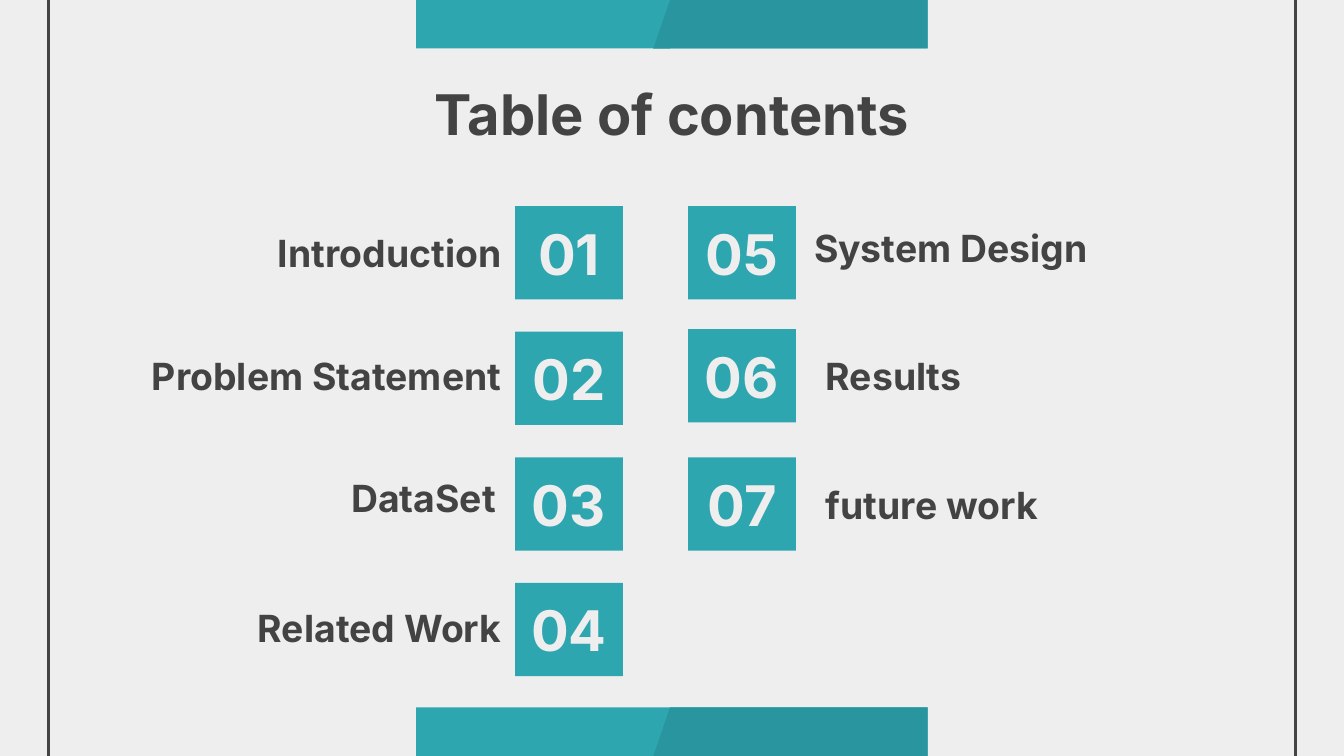
from lxml import etree
from pptx import Presentation
from pptx.dml.color import RGBColor
from pptx.enum.shapes import MSO_CONNECTOR, MSO_SHAPE
from pptx.enum.text import MSO_ANCHOR, MSO_AUTO_SIZE, PP_ALIGN
from pptx.oxml.ns import qn
from pptx.util import Pt

RECT, TRIANGLE = MSO_SHAPE.RECTANGLE, MSO_SHAPE.RIGHT_TRIANGLE
LEFT, CENTER, RIGHT = PP_ALIGN.LEFT, PP_ALIGN.CENTER, PP_ALIGN.RIGHT
TOP, MIDDLE = MSO_ANCHOR.TOP, MSO_ANCHOR.MIDDLE

PAPER, INK, TEAL, DARK_TEAL = "EEEEEE", "434343", "2DA6B0", "29969F"
FONT = "Inter"
SLIDE_W, SLIDE_H = 720, 405

TITLE = "Table of contents"
# Per column: tile left, then (label, label box, alignment, tile shift)
COLUMNS = [
    (275.9, [
        ("Introduction", (85, 110.4, 190.8, 50), RIGHT, 0),
        ("Problem Statement", (44, 176, 231.8, 50), RIGHT, 0),
        ("DataSet", (181.1, 241.7, 94.6, 50), LEFT, 0),
        ("Related Work", (85, 311.2, 190.8, 50), RIGHT, 0),
    ]),
    (368.6, [
        ("System Design", (429, 107.8, 190.8, 50), LEFT, 0),
        ("Results", (435.3, 185.3, 87.8, 31.5), LEFT, -1.4),
        ("future work", (435.3, 254.5, 142.5, 31.5), LEFT, 0),
    ]),
]
TILE_W, TILE_H, TILE_TOP, TILE_PITCH = 57.8, 50, 110.4, 67.3
RAIL_INSET = 26
BAND_X, BAND_W, BAND_H = 223, 274, 26
SLANT_X, SLANT_W = 350, 9


def rgb(value):
    return RGBColor.from_string(value)


def box(values):
    return [Pt(v) for v in values]


def write(sp, text, size, color, align, anchor=MIDDLE):
    tf = sp.text_frame
    frame = {"word_wrap": True, "auto_size": MSO_AUTO_SIZE.NONE,
             "vertical_anchor": anchor}
    frame.update({f"margin_{side}": Pt(7.2)
                  for side in ("left", "top", "right", "bottom")})
    for name, value in frame.items():
        setattr(tf, name, value)
    p = tf.paragraphs[0]
    p.alignment = align
    r = p.add_run()
    r.text = text
    for name, value in {"name": FONT, "size": Pt(size), "bold": True}.items():
        setattr(r.font, name, value)
    r.font.color.rgb = rgb(color)


def add_block(slide, kind, place, color):
    sp = slide.shapes.add_shape(kind, *box(place))
    sp.shadow.inherit = False
    sp.fill.solid()
    sp.fill.fore_color.rgb = rgb(color)
    sp.line.fill.background()
    return sp


def add_rail(slide, x):
    line = slide.shapes.add_connector(
        MSO_CONNECTOR.STRAIGHT, *box((x, -1, x, SLIDE_H + 1)))
    line.line.color.rgb = rgb(INK)
    line.line.width = Pt(1.5)
    etree.SubElement(line._element.spPr, qn("a:effectLst"))


def add_band(slide, y):
    """Add a teal band whose right half is darker, with a slanted edge."""
    dark_x = SLANT_X + SLANT_W
    add_block(slide, RECT, (BAND_X, y, BAND_W, BAND_H), TEAL)
    add_block(slide, RECT, (dark_x, y, BAND_X + BAND_W - dark_x, BAND_H), DARK_TEAL)
    slant = add_block(slide, TRIANGLE, (SLANT_X, y, SLANT_W, BAND_H), DARK_TEAL)
    slant._element.spPr.find(qn("a:xfrm")).set("flipH", "1")


def main():
    prs = Presentation()
    prs.slide_width, prs.slide_height = Pt(SLIDE_W), Pt(SLIDE_H)
    slide = prs.slides.add_slide(prs.slide_layouts[5])
    slide.background.fill.solid()
    slide.background.fill.fore_color.rgb = rgb(PAPER)

    for x in (RAIL_INSET, SLIDE_W - RAIL_INSET):
        add_rail(slide, x)
    for y in (0, SLIDE_H - BAND_H):
        add_band(slide, y)

    title = slide.shapes.title
    title.left, title.top, title.width, title.height = box((56.7, 35.5, 606.6, 45))
    write(title, TITLE, 30, INK, CENTER, TOP)

    number = 0
    for tile_x, entries in COLUMNS:
        for row, (label, place, align, shift) in enumerate(entries):
            number += 1
            y = TILE_TOP + row * TILE_PITCH + shift
            tile = add_block(slide, RECT, (tile_x, y, TILE_W, TILE_H), TEAL)
            write(tile, f"{number:02d}", 30, PAPER, CENTER)
            write(slide.shapes.add_textbox(*box(place)), label, 20, INK, align)

    prs.save("out.pptx")


if __name__ == "__main__":
    main()
